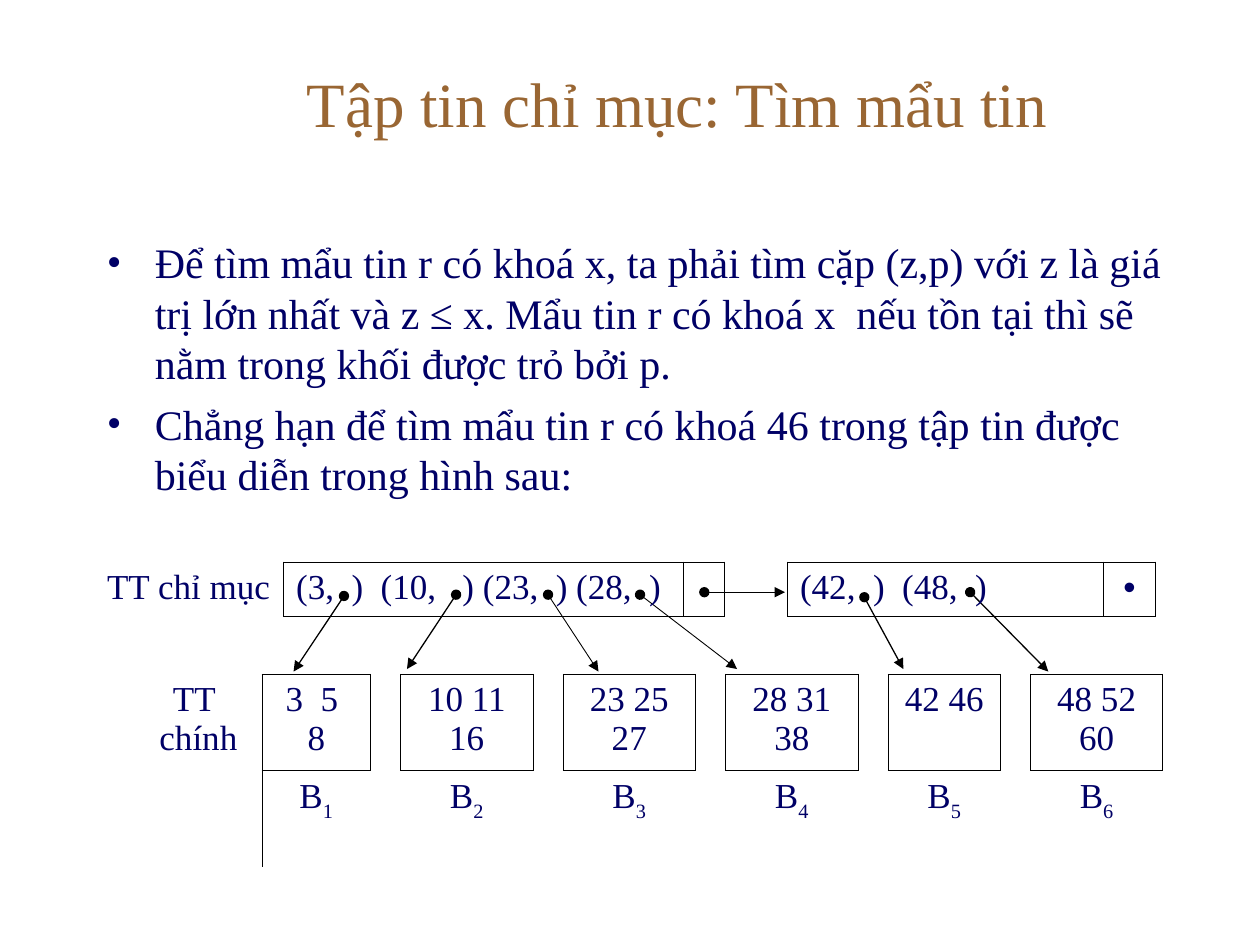
import pptx
import pptx.util
import pptx.dml.color
import pptx.enum.shapes
import pptx.enum.text
import pptx.oxml
import pptx.oxml.ns
from lxml import etree

Inches = pptx.util.Inches
Pt = pptx.util.Pt
ALIGN = pptx.enum.text.PP_ALIGN
ANCHOR = pptx.enum.text.MSO_ANCHOR
qn = pptx.oxml.ns.qn

COLOURS = {"title": "996633", "text": "000066", "line": "000000"}
SERIF = "Times New Roman"
NO_STYLE = "{2D5ABB26-0587-4C30-8999-92F81FD0307C}"
SIDES = {"lnL": (0, -1), "lnR": (0, 1), "lnT": (-1, 0), "lnB": (1, 0)}

TITLE = "Tập tin chỉ mục: Tìm mẩu tin"
POINTS = [
    "Ðể tìm mẩu tin r có khoá x, ta phải tìm cặp (z,p) với z là giá trị lớn nhất và z ≤ x. "
    "Mẩu tin r có khoá x  nếu tồn tại thì sẽ nằm trong khối được trỏ bởi p.",
    "Chẳng hạn để tìm mẩu tin r có khoá 46 trong tập tin được biểu diễn trong hình sau:",
]
INDEX_ENTRIES = ["TT chỉ mục", "(3,  )  (10,   ) (23,  ) (28,  )", "", "", "(42,  )  (48,  )", "•"]
BLOCKS = ["3  5  8", "10 11 16", "23 25 27", "28 31 38", "42 46 ", "48 52 60"]
POINTERS = [
    (2.73, 4.73, 2.33, 5.33, 0.75),
    (3.62, 4.72, 3.23, 5.31, 0.75),
    (4.35, 4.72, 4.75, 5.33, 0.5),
    (6.86, 4.74, 7.17, 5.31, 0.75),
    (7.7, 4.7, 8.32, 5.33, 0.75),
    (5.08, 4.72, 5.85, 5.31, 0.5),
    (5.59, 4.7, 6.23, 4.7, 0.5),
]


def apply(target, values):
    for name, value in values.items():
        setattr(target, name, value)


def rgb(role):
    return pptx.dml.color.RGBColor.from_string(COLOURS[role])


def write(paragraph, text, size, role="text", font=SERIF, align=ALIGN.LEFT):
    paragraph.alignment = align
    run = paragraph.add_run()
    run.text = text
    apply(run.font, {"size": Pt(size), "name": font})
    run.font.color.rgb = rgb(role)
    return run


def add_frame(slide, box, anchor):
    frame = slide.shapes.add_textbox(*map(Inches, box)).text_frame
    apply(frame, {"word_wrap": True, "vertical_anchor": anchor})
    return frame


def add_title(slide, box):
    heading = add_frame(slide, box, ANCHOR.MIDDLE)
    write(heading.paragraphs[0], TITLE, 36, "title", align=ALIGN.CENTER)


def add_points(slide, box):
    body = add_frame(slide, box, ANCHOR.TOP)
    for number, point in enumerate(POINTS):
        paragraph = body.add_paragraph() if number else body.paragraphs[0]
        if number:
            paragraph.space_before = Pt(6)
        properties = paragraph._p.get_or_add_pPr()
        properties.set("marL", str(Inches(0.38)))
        properties.set("indent", str(-Inches(0.38)))
        colour = etree.SubElement(properties, qn("a:buClr"))
        etree.SubElement(colour, qn("a:srgbClr"), val=COLOURS["text"])
        etree.SubElement(properties, qn("a:buFont"), typeface=SERIF)
        etree.SubElement(properties, qn("a:buChar"), char="•")
        write(paragraph, point, 24)


def add_pointer(slide, x1, y1, x2, y2, weight):
    pointer = slide.shapes.add_connector(
        pptx.enum.shapes.MSO_CONNECTOR.STRAIGHT, *map(Inches, (x1, y1, x2, y2)))
    pointer.line.width = Pt(weight)
    pointer.line.color.rgb = rgb("line")
    outline = pointer.line._get_or_add_ln()
    etree.SubElement(outline, qn("a:headEnd"), type="oval")
    etree.SubElement(outline, qn("a:tailEnd"), type="triangle")
    etree.SubElement(pointer._element.spPr, qn("a:effectLst"))


def add_grid(slide, left, top, widths, heights, boxed):
    frame = slide.shapes.add_table(
        len(heights), len(widths), Inches(left), Inches(top),
        Inches(sum(widths)), Inches(sum(heights)))
    grid = frame.table
    apply(grid, {"first_row": False, "horz_banding": False})
    grid._tbl.tblPr.find(qn("a:tableStyleId")).text = NO_STYLE
    for column, width in zip(grid.columns, widths):
        column.width = Inches(width)
    for row, height in zip(grid.rows, heights):
        row.height = Inches(height)
    for r in range(len(heights)):
        for c in range(len(widths)):
            cell = grid.cell(r, c)
            properties = cell._tc.get_or_add_tcPr()
            for side, (down, across) in SIDES.items():
                if boxed & {(r, c), (r + down, c + across)}:
                    edge = etree.SubElement(properties, qn("a:" + side), w=str(Pt(0.45)))
                    paint = etree.SubElement(edge, qn("a:solidFill"))
                    etree.SubElement(paint, qn("a:srgbClr"), val=COLOURS["line"])
            cell.fill.background()
    return grid


def add_index_file(slide, left, top):
    widths = [1.5, 3.17, 0.33, 0.5, 2.51, 0.41]
    index = add_grid(slide, left, top, widths, [0.43], {(0, c) for c in (1, 2, 4, 5)})
    for c, entry in enumerate(INDEX_ENTRIES):
        if entry:
            end_mark = entry == "•"
            write(index.cell(0, c).text_frame.paragraphs[0], entry, 20,
                  font="Arial" if end_mark else SERIF,
                  align=ALIGN.CENTER if end_mark else ALIGN.JUSTIFY)


def add_main_file(slide, left, top):
    widths = [1.01]
    for width in (0.86, 1.05, 1.05, 1.05, 0.89, 1.05):
        widths += [width, 0.24]
    widths.pop()
    block_columns = range(1, len(widths), 2)
    main_file = add_grid(slide, left, top, widths, [0.72, 0.44], {(0, c) for c in block_columns})
    label = main_file.cell(0, 0)
    label.merge(main_file.cell(1, 0))
    write(label.text_frame.paragraphs[0], "TT ", 20, align=ALIGN.CENTER)
    write(label.text_frame.add_paragraph(), "chính", 20, align=ALIGN.CENTER)
    for number, (c, keys) in enumerate(zip(block_columns, BLOCKS), 1):
        write(main_file.cell(0, c).text_frame.paragraphs[0], keys, 20, align=ALIGN.CENTER)
        block_name = main_file.cell(1, c).text_frame.paragraphs[0]
        write(block_name, "B", 20, align=ALIGN.CENTER)
        subscript = write(block_name, str(number), 20, align=ALIGN.CENTER)
        subscript.font._element.set("baseline", "-30000")


def main():
    deck = pptx.Presentation()
    apply(deck, {"slide_width": Inches(10), "slide_height": Inches(7.5)})
    slide = deck.slides.add_slide(deck.slide_layouts[6])
    add_title(slide, (1.25, 0.3, 8.25, 1.03))
    add_points(slide, (0.75, 1.83, 8.75, 2.21))
    for pointer in POINTERS:
        add_pointer(slide, *pointer)
    add_index_file(slide, 0.75, 4.46)
    add_main_file(slide, 1.07, 5.35)
    deck.save("out.pptx")


if __name__ == "__main__":
    main()
